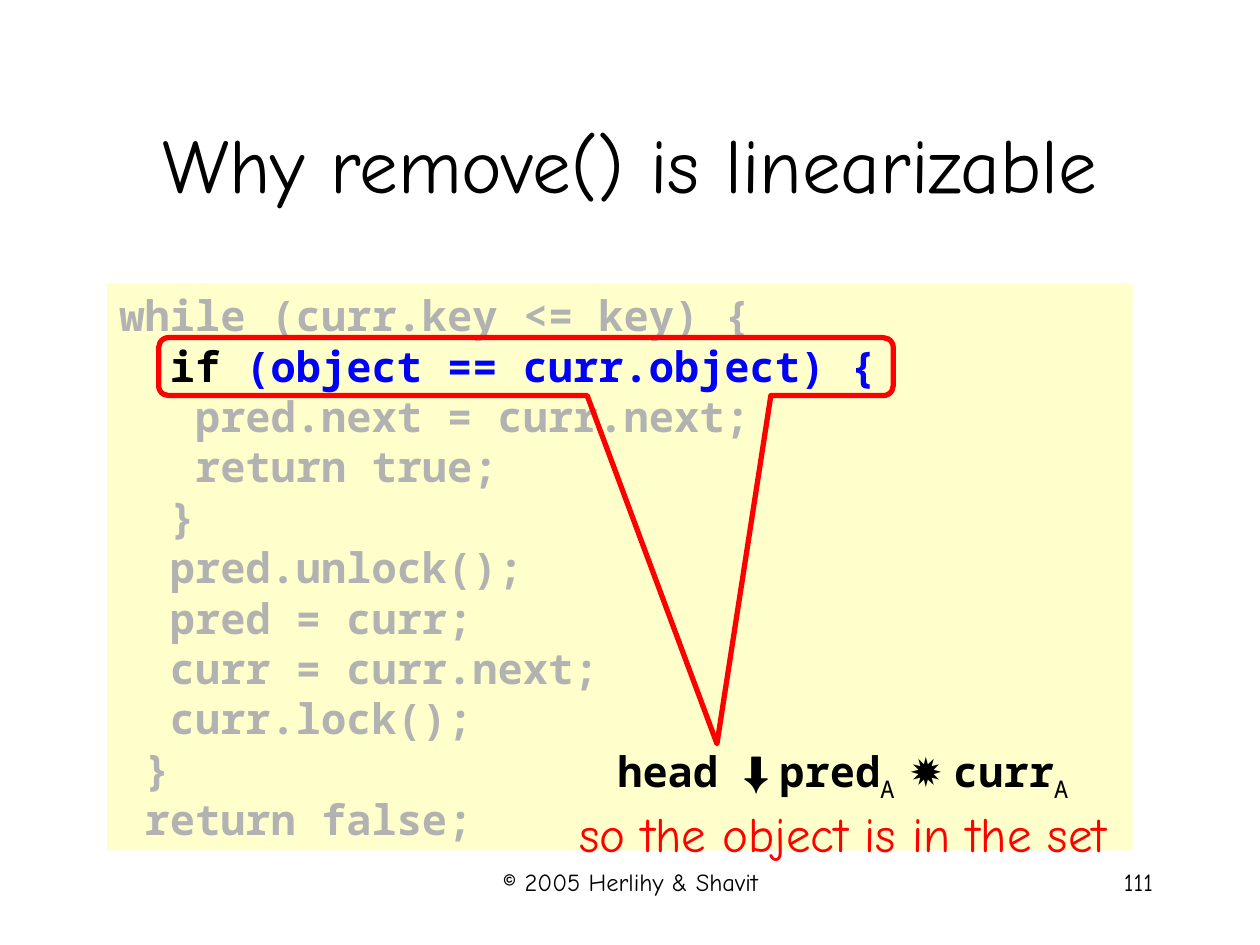
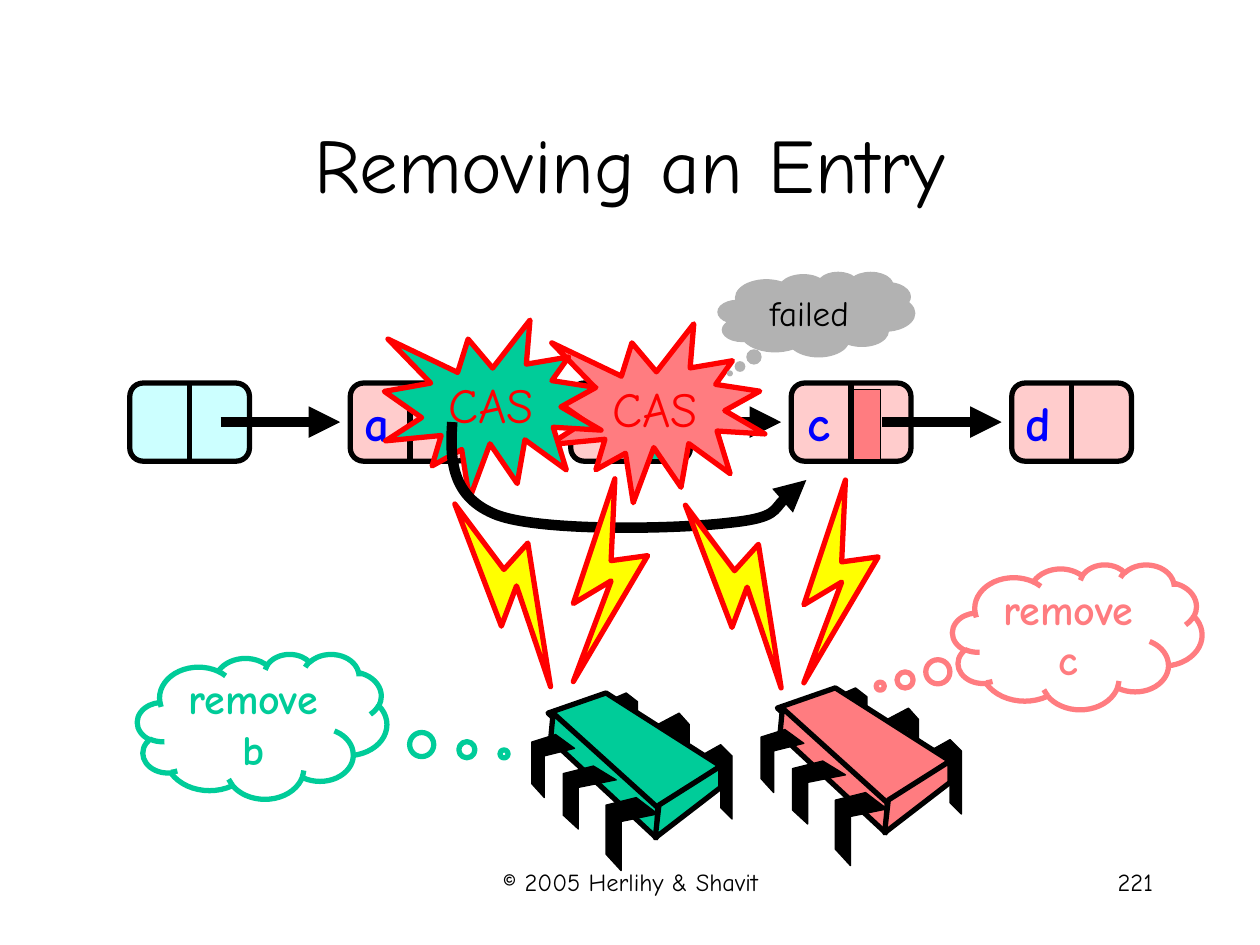
from lxml import etree
from pptx import Presentation
from pptx import util as u
from pptx.dml import color
from pptx.enum import shapes, text
from pptx.oxml import ns

# Shared look
HAND, CODE, SYMBOL = "Comic Neue", "Noto Sans Mono", "Times New Roman"
BLACK, RED, BLUE, GRAY = "000000", "FF0000", "0000FF", "B2B2B2"
GREEN, PINK, PALE_PINK, PALE_BLUE = "00CC99", "FF7C80", "FFCCCC", "CCFFFF"
CREAM, YELLOW = "FFFFCC", "FFFF00"
KIND = shapes.MSO_SHAPE
ALIGN = text.PP_ALIGN
ANCHOR = text.MSO_ANCHOR

# Code lines as (text, colour) runs
CODE_LINES = [
    [("while (curr.key <= key) {", GRAY)],
    [("  ", BLUE), ("if", BLACK), (" (object == curr.object) {", BLUE)],
    [("   pred.next = curr.next;", GRAY)],
    [("   return true;", GRAY)],
    [("  }", GRAY)],
    [("  pred.unlock();", GRAY)],
    [("  pred = curr;", GRAY)],
    [("  curr = curr.next;", GRAY)],
    [("  curr.lock();", GRAY)],
    [(" }", GRAY)],
    [(" return false;", GRAY)],
]

# Chip outlines in inches: legs behind, body faces, legs in front
BACK_LEGS = [
    [(5.56, 6), (5.72, 5.91), (5.81, 6), (5.81, 6.5), (5.72, 6.41), (5.72, 6.08), (5.56, 6.16)],
    [(5.22, 5.75), (5.39, 5.66), (5.47, 5.75), (5.47, 6.25), (5.39, 6.16), (5.39, 5.83), (5.22, 5.91)],
    [(4.81, 5.57), (4.97, 5.5), (5.06, 5.57), (5.06, 6), (4.97, 5.93), (4.97, 5.64), (4.81, 5.71)],
]
BODY_FACES = [
    [(4.81, 5.5), (5.72, 6.08), (5.21, 6.43), (4.35, 5.66)],
    [(4.39, 5.66), (5.22, 6.41), (5.21, 6.65), (4.37, 5.87)],
    [(5.72, 6.08), (5.72, 6.25), (5.2, 6.65), (5.23, 6.39)],
]
FRONT_LEGS = [
    [(5.05, 6.33), (5.22, 6.46), (4.93, 6.52), (4.93, 6.91), (4.81, 6.78), (4.81, 6.39)],
    [(4.71, 6.08), (4.89, 6.19), (4.59, 6.25), (4.59, 6.58), (4.47, 6.47), (4.47, 6.14)],
    [(4.41, 5.83), (4.56, 5.94), (4.32, 6), (4.32, 6.33), (4.22, 6.22), (4.22, 5.89)],
]
BOLTS = [
    [(4.88, 3.8), (4.55, 4.79), (4.85, 4.61), (4.55, 5.41), (5.14, 4.41), (4.85, 4.45)],
    [(3.61, 4), (3.98, 4.97), (4.1, 4.65), (4.37, 5.45), (4.19, 4.31), (4, 4.52)],
]
DETOUR = [(3.59, 3.35), (3.57, 3.65), (3.58, 3.95), (3.95, 4.09), (4.31, 4.22),
          (5.37, 4.2), (5.78, 4.15), (6.18, 4.11), (6.27, 3.88), (6.4, 3.81)]


def inch(value):
    return u.Cm(value * 2.54)


def lengths(*values):
    return [inch(value) for value in values]


def rgb(code):
    return color.RGBColor.from_string(code)


def style(font, size, tint, name=HAND, bold=False):
    font.size, font.name, font.bold = u.Pt(size), name, bold
    font.color.rgb = rgb(tint)


def paint(shape, fill=None, line=None, width=3):
    shape.shadow.inherit = False
    if fill:
        shape.fill.solid()
        shape.fill.fore_color.rgb = rgb(fill)
    else:
        shape.fill.background()
    if line:
        shape.line.color.rgb = rgb(line)
        shape.line.width = u.Pt(width)
    else:
        shape.line.fill.background()
    return shape


def write(box, words, size, tint, align=ALIGN.CENTER, anchor=ANCHOR.MIDDLE, bold=False, wrap=True):
    frame = box.text_frame
    frame.text = words
    frame.word_wrap, frame.vertical_anchor = wrap, anchor
    frame.auto_size = text.MSO_AUTO_SIZE.NONE
    para = frame.paragraphs[0]
    para.alignment = align
    style(para.runs[0].font, size, tint, bold=bold)


def add_span(para, words, size, tint, name, bold=False):
    span = para.add_run()
    span.text = words
    style(span.font, size, tint, name, bold)
    return span


def preset(parent, kind, place, fill=None, line=None, width=3, adjust=()):
    shape = parent.add_shape(kind, *lengths(*place))
    for index, value in enumerate(adjust):
        shape.adjustments[index] = value
    return paint(shape, fill, line, width)


def label(parent, place, words, size, tint, **options):
    write(parent.add_textbox(*lengths(*place)), words, size, tint, **options)


def outline(parent, points, shift=(0, 0), close=True):
    spots = [lengths(x + shift[0], y + shift[1]) for x, y in points]
    builder = parent.build_freeform(*spots[0])
    builder.add_line_segments(spots[1:], close=close)
    return builder.convert_to_shape()


def arrowhead(line):
    etree.SubElement(line.line._get_or_add_ln(), ns.qn("a:tailEnd"), type="triangle")


def connector(parent, start, end, width):
    line = parent.add_connector(shapes.MSO_CONNECTOR.STRAIGHT, *lengths(*start, *end))
    line.line.color.rgb = rgb(BLACK)
    line.line.width = u.Pt(width)
    etree.SubElement(line._element.spPr, ns.qn("a:effectLst"))
    return line


def curved_arrow(parent, points):
    """Turn each three segments of an open outline into one Bézier curve."""
    curve = paint(outline(parent, points, close=False), line=BLACK, width=6)
    path = curve._element.find(".//" + ns.qn("a:path"))
    segments = path.findall(ns.qn("a:lnTo"))
    for first in range(0, len(segments), 3):
        bezier = etree.SubElement(path, ns.qn("a:cubicBezTo"))
        for segment in segments[first:first + 3]:
            bezier.append(segment[0])
            path.remove(segment)
    arrowhead(curve)


def node(parent, left, letter, fill):
    cell = preset(parent, KIND.ROUNDED_RECTANGLE, (left, 3.04, 0.95, 0.62), fill, BLACK, adjust=[0.17])
    divider = connector(parent, (left + 0.48, 3.04), (left + 0.48, 3.66), 3)
    divider.begin_connect(cell, 0)
    divider.end_connect(cell, 2)
    if letter:
        label(parent, (left + 0.01, 3.07, 0.4, 0.57), letter, 28, BLUE,
              align=ALIGN.RIGHT, anchor=ANCHOR.TOP, bold=True, wrap=False)


def chip(parent, fill, shift):
    group = parent.add_group_shape().shapes
    for parts, tint, width in ((BACK_LEGS, BLACK, 0.75), (BODY_FACES, fill, 3), (FRONT_LEGS, BLACK, 0.75)):
        for points in parts:
            paint(outline(group, points, shift), tint, BLACK, width)


def thought(parent, place, tail, words, tint):
    cloud = preset(parent, KIND.CLOUD_CALLOUT, place, line=tint, adjust=tail)
    write(cloud, words, 24, tint, bold=True)


def new_slide(deck, title, number):
    slide = deck.slides.add_slide(deck.slide_layouts[5])
    heading = slide.shapes.title
    heading.left, heading.top, heading.width, heading.height = lengths(0.75, 0.67, 8.5, 1.25)
    write(heading, title, 44, BLACK)
    for place, words, align in (((3.42, 6.83, 3.17, 0.5), "© 2005 Herlihy & Shavit", ALIGN.CENTER),
                                ((7.17, 6.83, 2.08, 0.5), number, ALIGN.RIGHT)):
        label(slide.shapes, place, words, 14, BLACK, align=align, anchor=ANCHOR.TOP)
    return slide.shapes


def linearizable_slide(deck):
    parent = new_slide(deck, "Why remove() is linearizable", "111")

    # Code listing
    listing = preset(parent, KIND.RECTANGLE, (0.85, 2.25, 8.14, 4.5), CREAM)
    frame = listing.text_frame
    frame.word_wrap, frame.vertical_anchor = True, ANCHOR.TOP
    for index, spans in enumerate(CODE_LINES):
        para = frame.add_paragraph() if index else frame.paragraphs[0]
        para.alignment = ALIGN.LEFT
        for words, tint in spans:
            add_span(para, words, 24, tint, CODE, True)

    # Callout around the test
    preset(parent, KIND.ROUNDED_RECTANGULAR_CALLOUT, (1.26, 2.68, 5.83, 0.46),
           line=RED, adjust=[0.26, 6.51, 0.17])

    # Conclusion
    frame = parent.add_textbox(*lengths(3.73, 5.87, 5.92, 1.02)).text_frame
    frame.word_wrap = True
    para = frame.paragraphs[0]
    para.alignment = ALIGN.CENTER
    for words, name, bold, subscript in (
            ("head ", CODE, True, False), ("⬇ ", SYMBOL, False, False),
            ("pred", CODE, True, False), ("A ", CODE, False, True),
            ("✹ ", SYMBOL, False, False),
            ("curr", CODE, True, False), ("A", CODE, False, True)):
        span = add_span(para, words, 24, BLACK, name, bold)
        if subscript:
            span.font._element.set("baseline", "-25000")
    para = frame.add_paragraph()
    para.alignment = ALIGN.CENTER
    add_span(para, "so the object is in the set", 28, RED, HAND)


def removing_slide(deck):
    parent = new_slide(deck, "Removing an Entry", "221")

    # Linked list
    lefts = [1.03 + 1.75 * index for index in range(5)]
    for left, letter in zip(lefts, ["", "a", "b", "c", "d"]):
        node(parent, left, letter, PALE_PINK if letter else PALE_BLUE)
    for left, tint in ((lefts[2], GREEN), (lefts[3], PINK)):
        preset(parent, KIND.RECTANGLE, (left + 0.49, 3.09, 0.22, 0.56), tint, BLACK, 0.75)
    for left in lefts[:-1]:
        arrowhead(connector(parent, (left + 0.72, 3.35), (left + 1.67, 3.35), 6))

    # Processors and what they intend
    chip(parent, GREEN, (0, 0))
    chip(parent, PINK, (1.82, -0.04))
    thought(parent, (1.09, 5.19, 1.98, 1.15), (0.97, 0.19), "remove b", GREEN)
    thought(parent, (7.56, 4.48, 1.98, 1.15), (-0.79, 0.34), "remove c", PINK)

    # Competing CAS calls
    for left, top, tint in ((4.35, 2.57, PINK), (3.05, 2.54, GREEN)):
        burst = preset(parent, KIND.EXPLOSION1, (left, top, 1.72, 1.42), tint, RED)
        write(burst, "CAS", 28, RED, wrap=False)
    curved_arrow(parent, DETOUR)
    cloud = preset(parent, KIND.CLOUD_CALLOUT, (5.7, 2.16, 1.56, 0.67), GRAY, GRAY, 0.75, (-0.44, 0.7))
    write(cloud, "failed", 20, BLACK, anchor=ANCHOR.TOP)

    # Lightning bolts
    for shift in (1.83, 0):
        for points in BOLTS:
            paint(outline(parent, points, (shift, 0.01 if shift else 0)), YELLOW, RED)


def main():
    deck = Presentation()
    deck.slide_width, deck.slide_height = lengths(10, 7.5)
    linearizable_slide(deck)
    removing_slide(deck)
    deck.save("out.pptx")


if __name__ == "__main__":
    main()
